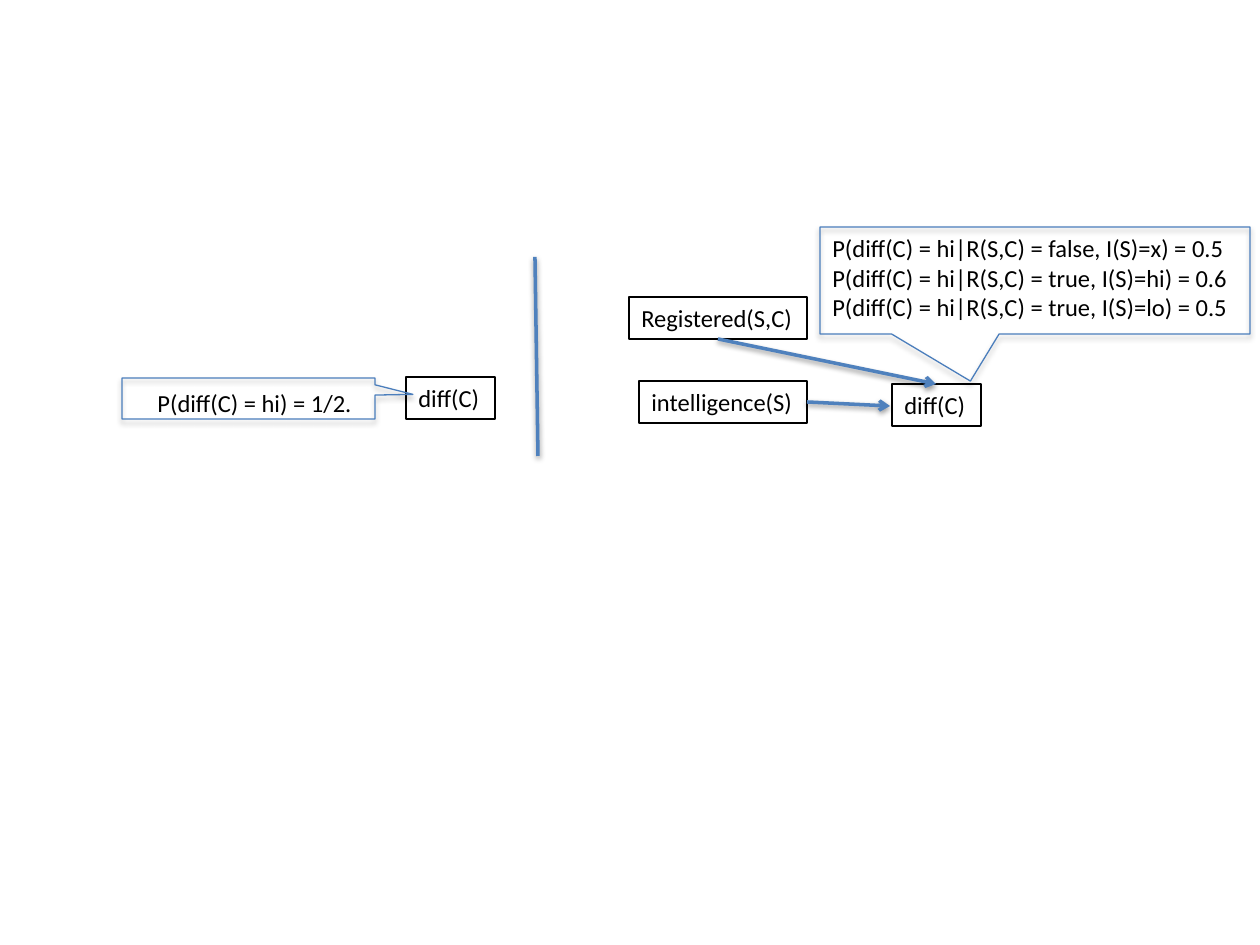
from lxml.etree import SubElement
from pptx import Presentation
from pptx.dml.color import RGBColor
from pptx.enum.shapes import MSO_CONNECTOR as CONN, MSO_SHAPE as SHAPE
from pptx.enum.text import MSO_AUTO_SIZE as AUTO
from pptx.oxml.ns import qn
from pptx.util import Pt

PX = 914400 / 126
COLORS = {"text": "000000", "arrow": "4F81BD", "callout": "4B7EBC", "shadow": "000000"}


def px(*values):
    return [round(v * PX) for v in values]


def rgb(name):
    return RGBColor.from_string(COLORS[name])


def set_line(line, color, width):
    line.color.rgb = rgb(color)
    line.width = Pt(width)


def add_shadow(effects, distance, opacity):
    """Fill an effect list with a soft shadow that falls straight down."""
    shadow = SubElement(effects, qn("a:outerShdw"), blurRad=str(Pt(3.1)),
                        dist=str(Pt(distance)), dir="5400000", rotWithShape="0")
    color = SubElement(shadow, qn("a:srgbClr"), val=COLORS["shadow"])
    SubElement(color, qn("a:alpha"), val=str(opacity * 1000))


def add_text(s, box, lines, wrap=True):
    tb = s.shapes.add_textbox(*px(*box))
    tf = tb.text_frame
    tf.word_wrap = wrap
    tf.auto_size = AUTO.SHAPE_TO_FIT_TEXT
    tf.text = "\n".join(lines)
    for p in tf.paragraphs:
        p.font.name = "Calibri"
        p.font.size = Pt(14)
        p.font.color.rgb = rgb("text")
    return tb


def add_node(s, box, label, wrap=False):
    node = add_text(s, box, [label], wrap)
    set_line(node.line, "text", 0.75)


def add_callout(s, box, pointer):
    """Outline a callout; pointer is the tip's offset from the centre, in box sizes."""
    sp = s.shapes.add_shape(SHAPE.RECTANGULAR_CALLOUT, *px(*box))
    sp.adjustments[0], sp.adjustments[1] = pointer
    sp.fill.background()
    set_line(sp.line, "callout", 0.75)
    sp.shadow.inherit = False
    add_shadow(sp._element.spPr.find(qn("a:effectLst")), 1.8, 35)


def add_line(s, start, end, arrow=False):
    line = s.shapes.add_connector(CONN.STRAIGHT, *px(*start, *end))
    set_line(line.line, "arrow", 2)
    if arrow:
        SubElement(line.line._get_or_add_ln(), qn("a:tailEnd"), type="arrow")
    add_shadow(SubElement(line._element.spPr, qn("a:effectLst")), 1.6, 38)


def main():
    prs = Presentation()
    prs.slide_width, prs.slide_height = px(1260, 945)
    s = prs.slides.add_slide(prs.slide_layouts[6])

    add_node(s, (639, 381, 168, 42), "intelligence(S)")
    add_node(s, (892, 384, 89, 42), "diff(C)", wrap=True)
    add_line(s, (807, 402), (890, 406), arrow=True)
    add_node(s, (629, 297, 178, 42), "Registered(S,C)")
    add_line(s, (718, 339), (936, 384), arrow=True)

    add_node(s, (406, 377, 89, 42), "diff(C)", wrap=True)
    add_line(s, (535, 257), (538, 456))

    add_text(s, (145, 382, 231, 42), ["P(diff(C) = hi) = 1/2."])
    add_callout(s, (122, 378, 253, 41), (0.65, -0.1))

    add_text(s, (820, 227, 430, 152), [
        "P(diff(C) = hi|R(S,C) = false, I(S)=x) = 0.5",
        "P(diff(C) = hi|R(S,C) = true, I(S)=hi) = 0.6",
        "P(diff(C) = hi|R(S,C) = true, I(S)=lo) = 0.5",
    ])
    add_callout(s, (820, 227, 430, 107), (-0.15, 0.94))

    prs.save("out.pptx")


if __name__ == "__main__":
    main()
